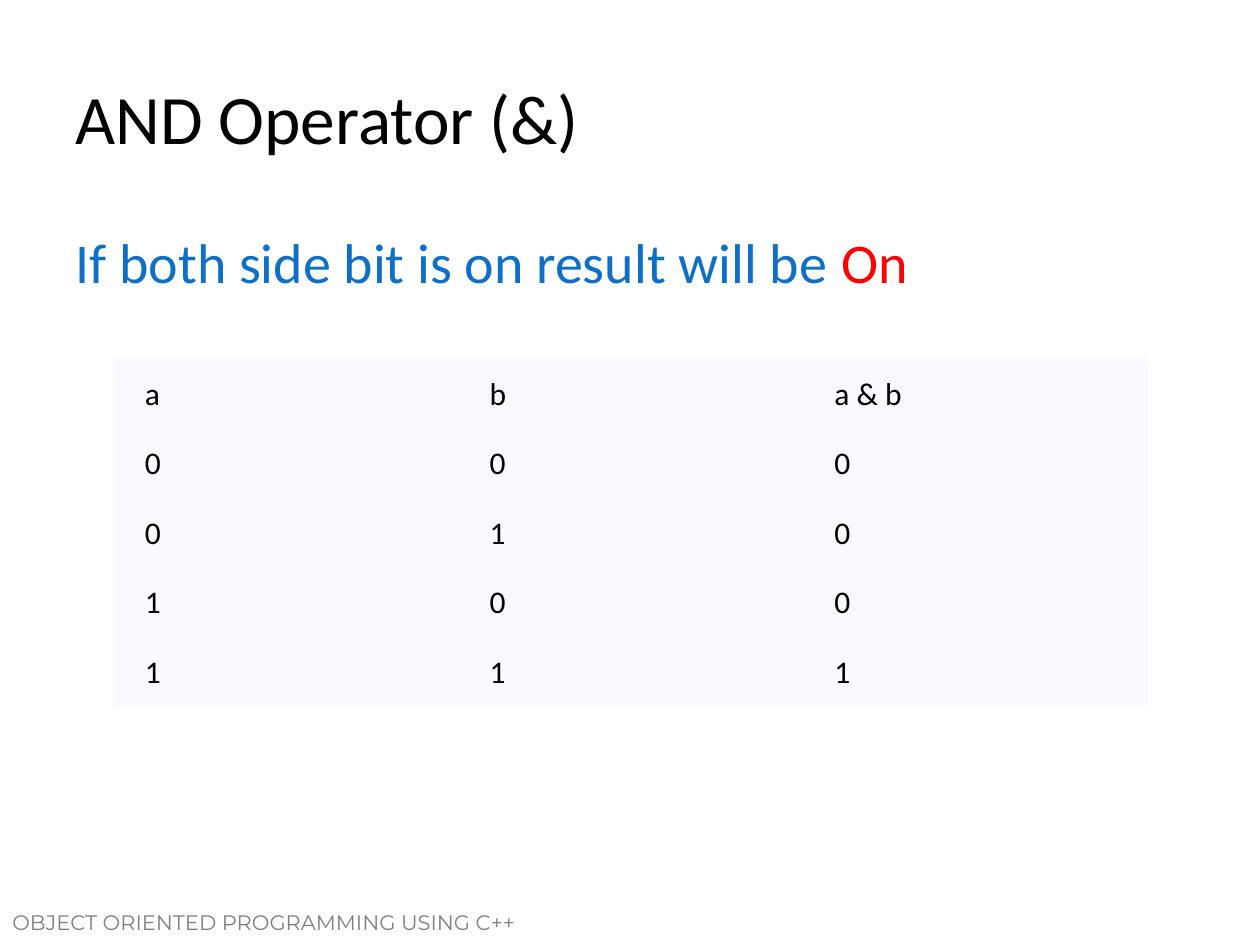
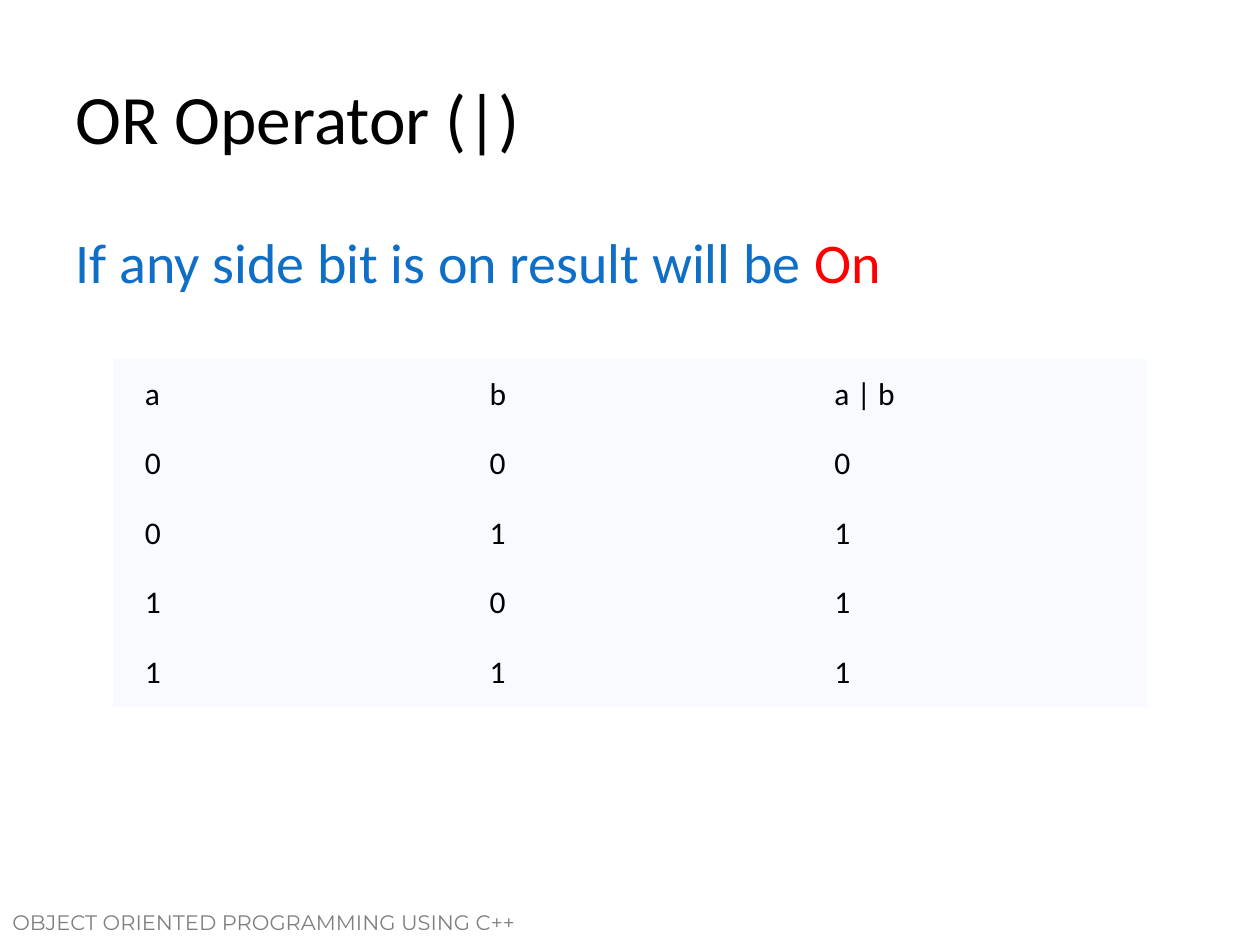
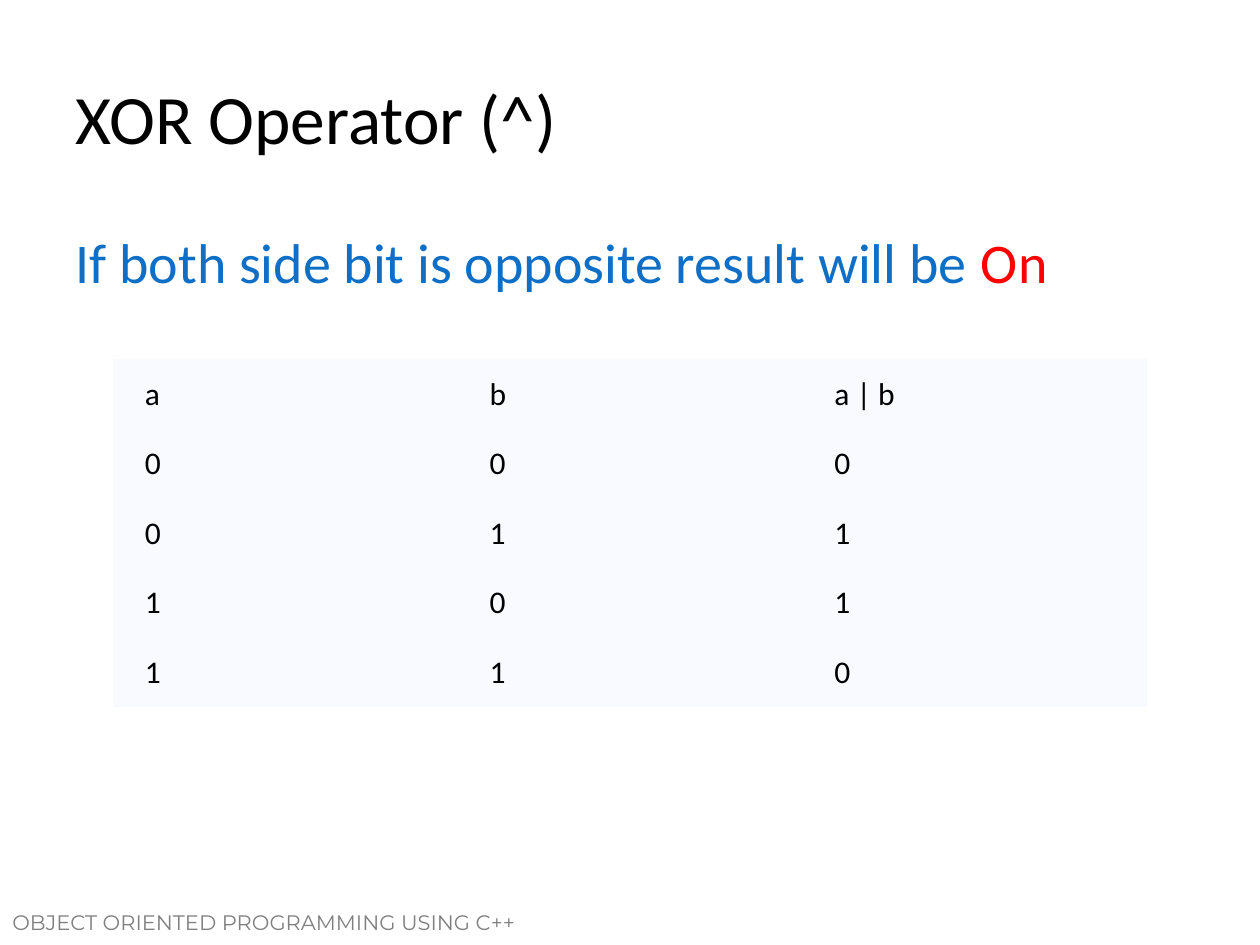
from dataclasses import dataclass
from itertools import product

from lxml import etree
from pptx import Presentation
from pptx.dml.color import RGBColor
from pptx.enum.text import MSO_ANCHOR, PP_ALIGN
from pptx.oxml.ns import qn
from pptx.util import Cm, Pt

MIDDLE = MSO_ANCHOR.MIDDLE
TOP = MSO_ANCHOR.TOP
LEFT = PP_ALIGN.LEFT
TITLE_AND_CONTENT = 1
PLAIN_TABLE_STYLE = "{2D5ABB26-0587-4C30-8999-92F81FD0307C}"


@dataclass(frozen=True)
class Theme:
    text_font: str = "Calibri"
    footer_font: str = "Montserrat"
    ink: str = "000000"
    rule: str = "0F6FC6"
    highlight: str = "FF0000"
    footer: str = "808080"
    cell: str = "F8FAFF"
    title_size: float = 39.6
    rule_size: float = 32
    cell_size: float = 18
    footer_size: float = 12


THEME = Theme()
COURSE = "OBJECT ORIENTED PROGRAMMING USING C++"

# Title, rule, table heading, results for inputs 00, 01, 10, 11
OPERATORS = [
    ("AND Operator (&)", "If both side bit is on result will be ", "a & b", "0001"),
    ("OR Operator (|)", "If any side bit is on result will be ", "a | b", "0111"),
    ("XOR Operator (^)", "If both side bit is opposite result will be ", "a | b", "0110"),
]


def write(frame, *parts, size, font=THEME.text_font, anchor=TOP):
    """Fill a text frame with one paragraph of (text, colour) parts."""
    frame.word_wrap = True
    frame.vertical_anchor = anchor
    paragraph = frame.paragraphs[0]
    paragraph.alignment = LEFT
    for text, color in parts:
        run = paragraph.add_run()
        run.text = text
        run.font.name = font
        run.font.size = Pt(size)
        run.font.color.rgb = RGBColor.from_string(color)
    return paragraph


def place(shape, left, top, width, height):
    shape.left, shape.top = Cm(left), Cm(top)
    shape.width, shape.height = Cm(width), Cm(height)


def remove_bullet(paragraph):
    properties = paragraph._p.get_or_add_pPr()
    properties.set("marL", "0")
    properties.set("indent", "0")
    etree.SubElement(properties, qn("a:buNone"))


def add_footer(slide):
    footer = slide.shapes.add_textbox(Cm(0), Cm(18.21), Cm(12.7), Cm(1.07))
    write(footer.text_frame, (COURSE, THEME.footer),
          size=THEME.footer_size, font=THEME.footer_font)


def add_title(slide, title):
    heading = slide.shapes.title
    place(heading, 1.27, 0.76, 22.86, 3.18)
    write(heading.text_frame, (title, THEME.ink), size=THEME.title_size, anchor=MIDDLE)


def add_rule(slide, rule):
    body = slide.placeholders[1]
    place(body, 1.27, 4.45, 22.86, 12.57)
    remove_bullet(write(body.text_frame, (rule, THEME.rule), ("On", THEME.highlight),
                        size=THEME.rule_size))


def add_truth_table(slide, expression, results):
    rows = [("a", "b", expression)]
    rows += [(*inputs, result) for inputs, result in zip(product("01", repeat=2), results)]
    table = slide.shapes.add_table(len(rows), 3, Cm(2.28), Cm(7.24),
                                   Cm(20.85), Cm(1.4 * len(rows))).table
    table.first_row = table.horz_banding = False
    table._tbl.tblPr.find(qn("a:tableStyleId")).text = PLAIN_TABLE_STYLE
    for row, values in zip(table.rows, rows):
        for cell, value in zip(row.cells, values):
            cell.fill.solid()
            cell.fill.fore_color.rgb = RGBColor.from_string(THEME.cell)
            cell.margin_left = cell.margin_right = Cm(0.64)
            cell.margin_top = cell.margin_bottom = Cm(0.32)
            cell.vertical_anchor = MIDDLE
            write(cell.text_frame, (value, THEME.ink),
                  size=THEME.cell_size, anchor=MIDDLE)


def main():
    deck = Presentation()
    deck.slide_width, deck.slide_height = Cm(25.4), Cm(19.05)
    for title, rule, expression, results in OPERATORS:
        slide = deck.slides.add_slide(deck.slide_layouts[TITLE_AND_CONTENT])
        add_footer(slide)
        add_title(slide, title)
        add_rule(slide, rule)
        add_truth_table(slide, expression, results)
    deck.save("out.pptx")


main()
